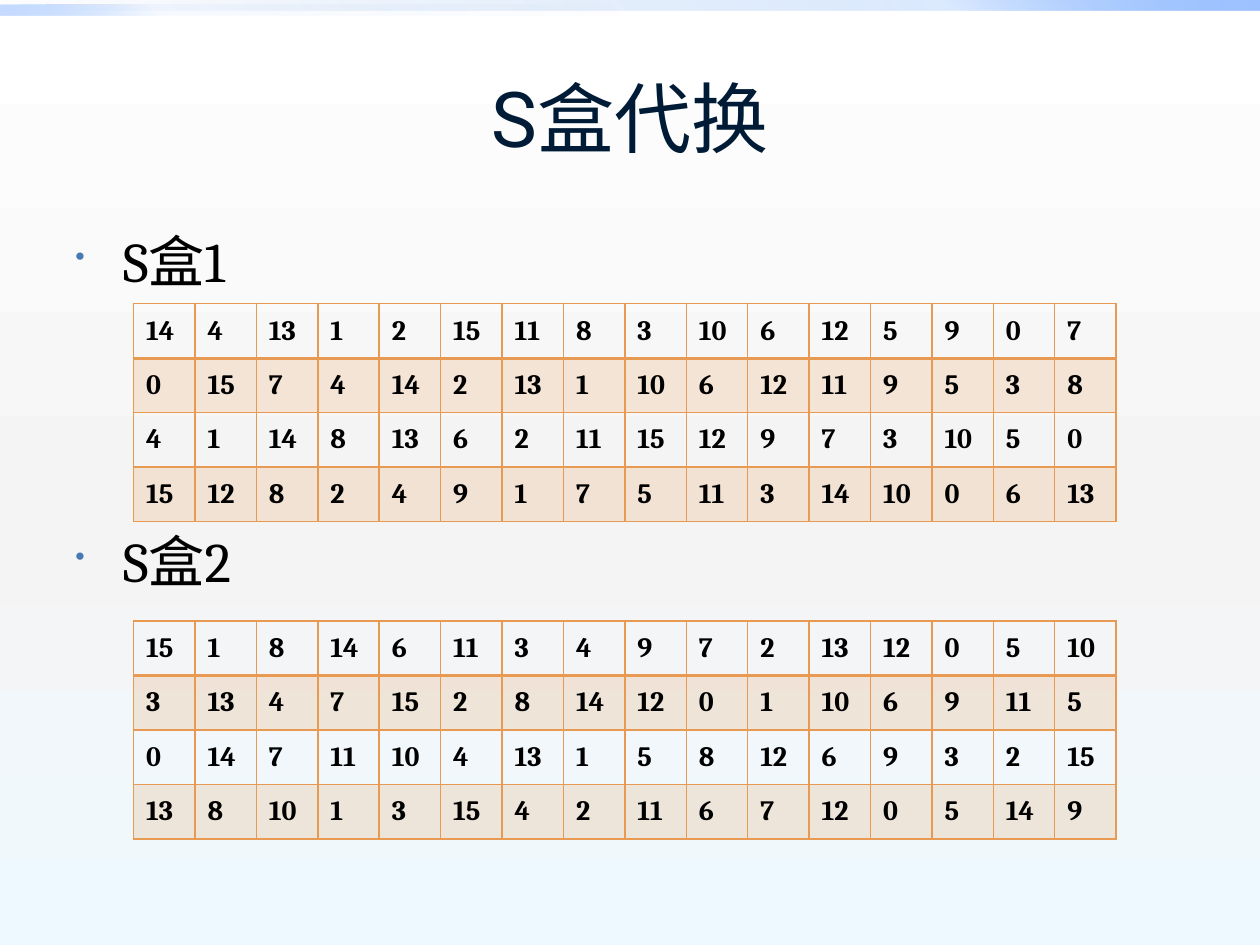
from lxml import etree
from pptx import Presentation
from pptx.dml.color import RGBColor
from pptx.enum import shapes, text
from pptx.oxml import parse_xml
from pptx.oxml.ns import nsdecls, qn
from pptx.util import Inches, Pt

INK = {"title": "001B36", "body": "000000", "bullet": "477AB1", "grid": "E89A53"}
SKY = [(0, "FFFFFF", 100), (55, "F4F4F4", 100), (100, "EEF9FF", 100)]
BAR = [(0, "0058B7", 0), (75, "4F95FF", 20), (100, "9EC2FF", 100)]
GLOW = [(0, "0058B7", 0), (75, "4F95FF", 5), (100, "9EC2FF", 60)]

BOX_1 = [
    [14, 4, 13, 1, 2, 15, 11, 8, 3, 10, 6, 12, 5, 9, 0, 7],
    [0, 15, 7, 4, 14, 2, 13, 1, 10, 6, 12, 11, 9, 5, 3, 8],
    [4, 1, 14, 8, 13, 6, 2, 11, 15, 12, 9, 7, 3, 10, 5, 0],
    [15, 12, 8, 2, 4, 9, 1, 7, 5, 11, 3, 14, 10, 0, 6, 13],
]
BOX_2 = [
    [15, 1, 8, 14, 6, 11, 3, 4, 9, 7, 2, 13, 12, 0, 5, 10],
    [3, 13, 4, 7, 15, 2, 8, 14, 12, 0, 1, 10, 6, 9, 11, 5],
    [0, 14, 7, 11, 10, 4, 13, 1, 5, 8, 12, 6, 9, 3, 2, 15],
    [13, 8, 10, 1, 3, 15, 4, 2, 11, 6, 7, 12, 0, 5, 14, 9],
]


def grad(stops, angle):
    """Gradient fill from (position, colour, opacity) stops, in percent."""
    marks = "".join(
        f'<a:gs pos="{pos * 1000}"><a:srgbClr val="{hue}">'
        f'<a:alpha val="{alpha * 1000}"/></a:srgbClr></a:gs>'
        for pos, hue, alpha in stops
    )
    return parse_xml(
        f'<a:gradFill {nsdecls("a")} rotWithShape="1"><a:gsLst>{marks}</a:gsLst>'
        f'<a:lin ang="{angle * 60000}" scaled="0"/></a:gradFill>'
    )


def swap_fill(props, fill):
    old = props.find(qn("a:solidFill"))
    props.replace(old, fill)


def set_back(slide):
    slide.background.fill.solid()
    swap_fill(slide.background._cSld.bg.bgPr, grad(SKY, 90))


def add_bar(slide, top, width, stops, angle):
    bar = slide.shapes.add_shape(
        shapes.MSO_SHAPE.RECTANGLE, 0, Inches(top), Inches(width), Inches(0.08)
    )
    bar.shadow.inherit = False
    bar.line.fill.background()
    bar.fill.solid()
    swap_fill(bar._element.spPr, grad(stops, angle))


def style(para, font, size, hue, bold=False):
    for run in para.runs:
        run.font.name = font
        run.font.size = Pt(size)
        run.font.bold = bold
        run.font.color.rgb = RGBColor.from_string(INK[hue])


def add_text(slide, top, height, words):
    box = slide.shapes.add_textbox(Inches(0.5), Inches(top), Inches(9), Inches(height))
    frame = box.text_frame
    frame.word_wrap = True
    frame.text = words
    return frame


def add_title(slide, words):
    frame = add_text(slide, 0.3, 1.25, words)
    frame.vertical_anchor = text.MSO_ANCHOR.MIDDLE
    frame.paragraphs[0].alignment = text.PP_ALIGN.CENTER
    style(frame.paragraphs[0], "Roboto", 44, "title")


def add_bullet(para):
    props = para._p.get_or_add_pPr()
    props.set("marL", str(Inches(0.38)))
    props.set("indent", str(-Inches(0.38)))
    hue = etree.SubElement(props, qn("a:buClr"))
    etree.SubElement(hue, qn("a:srgbClr"), val=INK["bullet"])
    etree.SubElement(props, qn("a:buSzPct"), val="50000")
    etree.SubElement(props, qn("a:buChar"), char="•")


def add_heads(slide, names, gap):
    """Bulleted headings; gap leaves room for the table between them."""
    frame = add_text(slide, 1.75, 4.95, "\n".join(names))
    for i, para in enumerate(frame.paragraphs):
        para.space_before = Pt(gap if i else 6.4)
        add_bullet(para)
        style(para, "Cambria", 32, "body")


def set_edges(cell, widths):
    props = cell._tc.get_or_add_tcPr()
    for i, (side, width) in enumerate(widths.items()):
        line = parse_xml(
            f'<a:ln{side} {nsdecls("a")} w="{Pt(width)}"><a:solidFill>'
            f'<a:srgbClr val="{INK["grid"]}"/></a:solidFill></a:ln{side}>'
        )
        props.insert(i, line)


def shade(cell, banded):
    if not banded:
        cell.fill.background()
        return
    cell.fill.solid()
    cell.fill.fore_color.rgb = RGBColor.from_string(INK["grid"])
    hue = cell._tc.tcPr.find(qn("a:solidFill"))[0]
    etree.SubElement(hue, qn("a:alpha"), val="20000")


def add_grid(slide, top, rows):
    wide, high = Inches(7.8), Inches(1.73)
    count = len(rows[0])
    table = slide.shapes.add_table(
        len(rows), count, Inches(1.06), Inches(top), wide, high
    ).table
    for col in table.columns:
        col.width = wide // count
    for r, row in enumerate(rows):
        table.rows[r].height = high // len(rows)
        for c, value in enumerate(row):
            cell = table.cell(r, c)
            cell.text_frame.text = str(value)
            cell.vertical_anchor = text.MSO_ANCHOR.MIDDLE
            style(cell.text_frame.paragraphs[0], "Cambria", 16, "body", True)
            shade(cell, r % 2 == 1)
            set_edges(cell, {"L": 1, "R": 1, "T": 2 if r == 1 else 1,
                             "B": 2 if r == 0 else 1})


def main():
    deck = Presentation()
    deck.slide_width, deck.slide_height = Inches(10), Inches(7.5)
    slide = deck.slides.add_slide(deck.slide_layouts[6])
    set_back(slide)
    add_bar(slide, 0, 10, BAR, 315)
    add_bar(slide, 0.04, 5, GLOW, 135)
    add_title(slide, "S盒代换")
    add_heads(slide, ["S盒1", "S盒2"], 133)
    add_grid(slide, 4.93, BOX_2)
    add_grid(slide, 2.41, BOX_1)
    deck.save("out.pptx")


if __name__ == "__main__":
    main()
